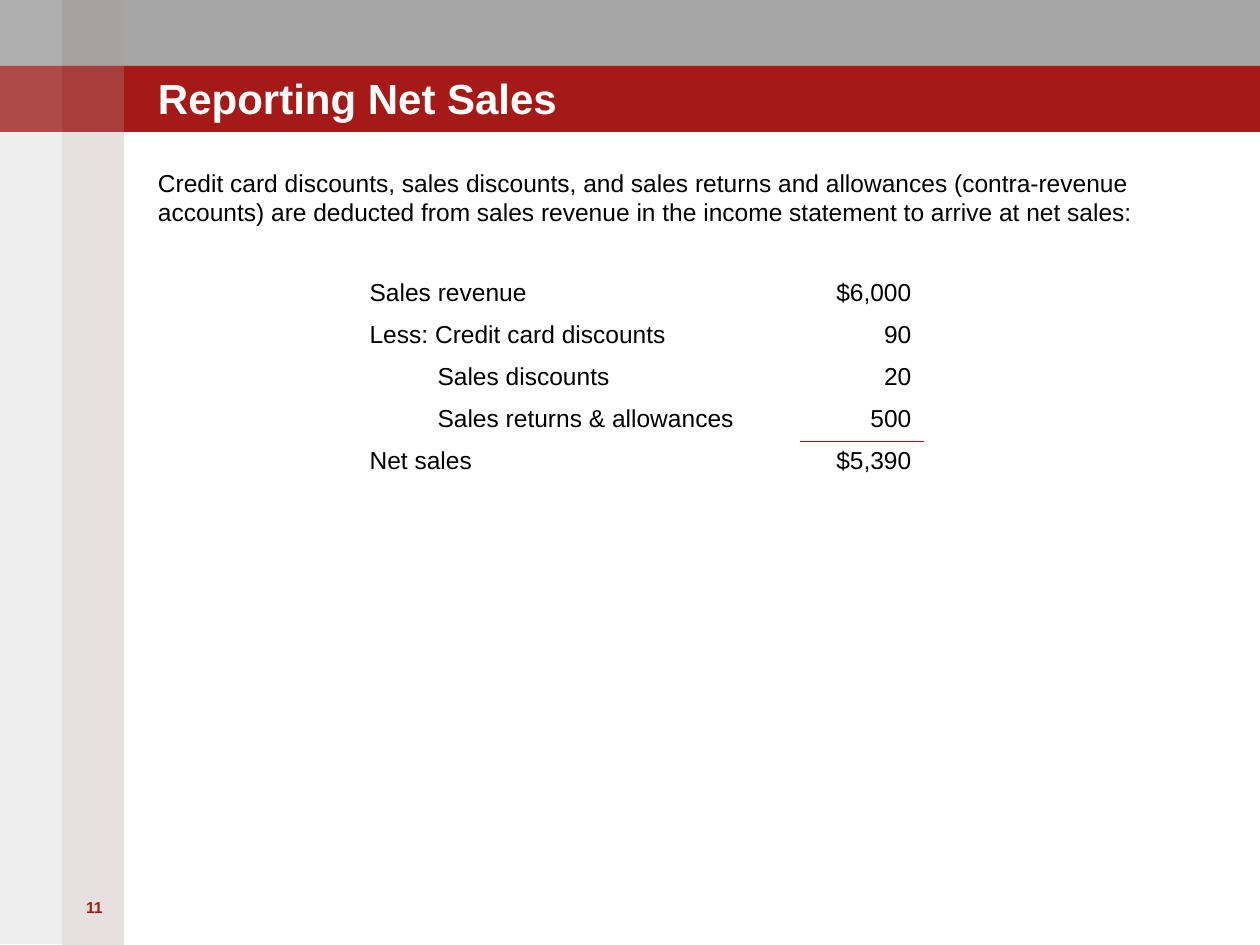
from dataclasses import dataclass

from lxml import etree
from pptx import Presentation
from pptx import util as u
from pptx.dml.color import RGBColor
from pptx.enum import shapes, text
from pptx.oxml.ns import qn

PX = u.Inches(1) // 126


@dataclass(frozen=True)
class Theme:
    font: str = "Arial"
    red: str = "A51A17"
    grey: str = "A6A6A6"
    rose: str = "A08284"
    stone: str = "938F8F"
    white: str = "FFFFFF"
    ink: str = "000000"
    rule: str = "C00000"
    title_size: int = 24
    body_size: int = 14
    number_size: int = 9


THEME = Theme()

# Label, amount, whether the label is indented
SALES_ROWS = [
    ("Sales revenue", "$6,000", False),
    ("Less: Credit card discounts", "90", False),
    ("Sales discounts", "20", True),
    ("Sales returns & allowances", "500", True),
    ("Net sales", "$5,390", False),
]


def px(*lengths):
    return [length * PX for length in lengths]


def add_band(slide, box, color, opacity=100):
    band = slide.shapes.add_shape(shapes.MSO_SHAPE.RECTANGLE, *px(*box))
    band.shadow.inherit = False
    band.line.fill.background()
    band.fill.solid()
    band.fill.fore_color.rgb = RGBColor.from_string(color)
    if opacity < 100:
        fill_color = band.fill._xPr.find(qn("a:solidFill"))[0]
        etree.SubElement(fill_color, qn("a:alpha"), val=str(opacity * 1000))


def write(frame, words, size, color, bold=False, align=text.PP_ALIGN.LEFT):
    frame.text = words
    paragraph = frame.paragraphs[0]
    paragraph.alignment = align
    font = paragraph.runs[0].font
    font.name, font.size, font.bold = THEME.font, u.Pt(size), bold
    font.color.rgb = RGBColor.from_string(color)
    return paragraph


def clear_insets(frame):
    frame.margin_left = frame.margin_right = 0
    frame.margin_top = frame.margin_bottom = 0


def add_text(slide, box, words, size, color, **style):
    frame = slide.shapes.add_textbox(*px(*box)).text_frame
    frame.word_wrap = True
    write(frame, words, size, color, **style)
    return frame


def set_title(slide, box, words):
    title = slide.shapes.title
    title.left, title.top, title.width, title.height = px(*box)
    frame = title.text_frame
    clear_insets(frame)
    frame.vertical_anchor = text.MSO_ANCHOR.BOTTOM
    write(frame, words, THEME.title_size, THEME.white, bold=True)


def add_border(cell, side):
    line = etree.Element(qn(f"a:{side}"), w=str(u.Pt(0.5)))
    fill = etree.SubElement(line, qn("a:solidFill"))
    etree.SubElement(fill, qn("a:srgbClr"), val=THEME.rule)
    cell._tc.get_or_add_tcPr().insert(0, line)


def add_sales_table(slide, left, top, column_widths, row_height, indent):
    frame = slide.shapes.add_table(
        len(SALES_ROWS), len(column_widths),
        *px(left, top, sum(column_widths), row_height * len(SALES_ROWS)))
    table = frame.table
    table.first_row = table.horz_banding = False
    # Drop the themed style so that only the total rule is drawn
    table._tbl.tblPr.find(qn("a:tableStyleId")).text = (
        "{2D5ABB26-0587-4C30-8999-92F81FD0307C}")
    for column, width in zip(table.columns, px(*column_widths)):
        column.width = width
    for row, (label, amount, indented) in zip(table.rows, SALES_ROWS):
        row.height = row_height * PX
        for cell, words, align in zip(
                row.cells, (label, amount),
                (text.PP_ALIGN.LEFT, text.PP_ALIGN.RIGHT)):
            cell.fill.background()
            write(cell.text_frame, words, THEME.body_size, THEME.ink,
                  align=align)
        if indented:
            row.cells[0].margin_left = u.Inches(0.1) + indent * PX
    # Rule above the net total
    last = len(SALES_ROWS) - 1
    add_border(table.cell(last - 1, 1), "lnB")
    add_border(table.cell(last, 1), "lnT")


def add_background(slide):
    band_height, strip_width = 66, 62
    for index, color in enumerate((THEME.grey, THEME.red)):
        add_band(slide, (0, index * band_height, 1260, band_height), color)
    # Full-height strips
    add_band(slide, (strip_width, 0, strip_width, 945), THEME.rose, 25)
    add_band(slide, (0, 0, strip_width, 944), THEME.stone, 15)
    # Highlights where strips cross bands
    for row in range(2):
        for column, opacity in ((1, 5), (0, 15)):
            add_band(slide, (column * strip_width, row * band_height,
                             strip_width, band_height), THEME.white, opacity)


def main():
    presentation = Presentation()
    presentation.slide_width, presentation.slide_height = px(1260, 945)
    slide = presentation.slides.add_slide(presentation.slide_layouts[5])

    add_background(slide)

    # Bring the title in front of the bands
    slide.shapes._spTree.append(slide.shapes.title._element)
    set_title(slide, (158, 39, 1040, 84), "Reporting Net Sales")

    # Page number
    add_text(slide, (63, 892, 63, 71), "11", THEME.number_size, THEME.red,
             bold=True, align=text.PP_ALIGN.CENTER)

    # Introduction
    body = add_text(
        slide, (158, 168, 1008, 703),
        "Credit card discounts, sales discounts, and sales returns and "
        "allowances (contra-revenue accounts) are deducted from sales revenue "
        "in the income statement to arrive at net sales:",
        THEME.body_size, THEME.ink)
    clear_insets(body)
    body.paragraphs[0].space_before = u.Pt(2.8)

    add_sales_table(slide, 357, 273, (443, 124), 40, indent=68)
    presentation.save("out.pptx")


if __name__ == "__main__":
    main()
